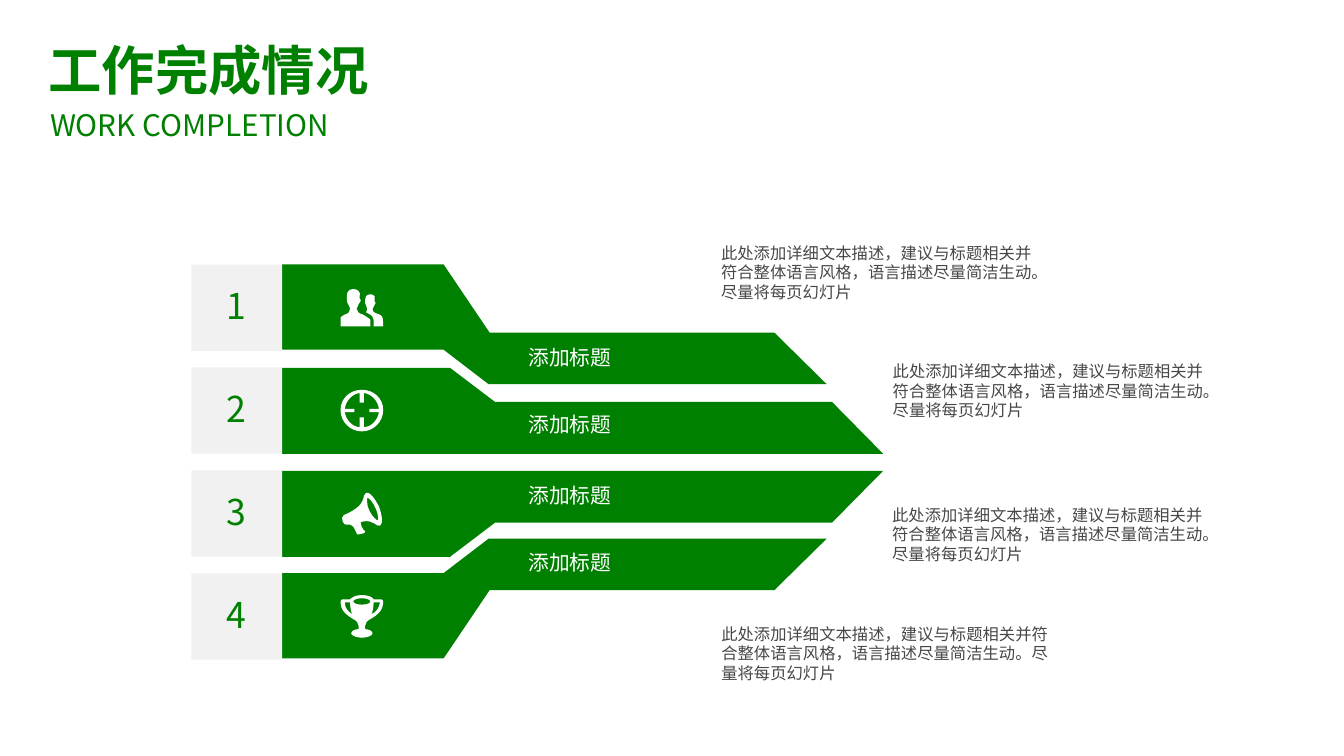
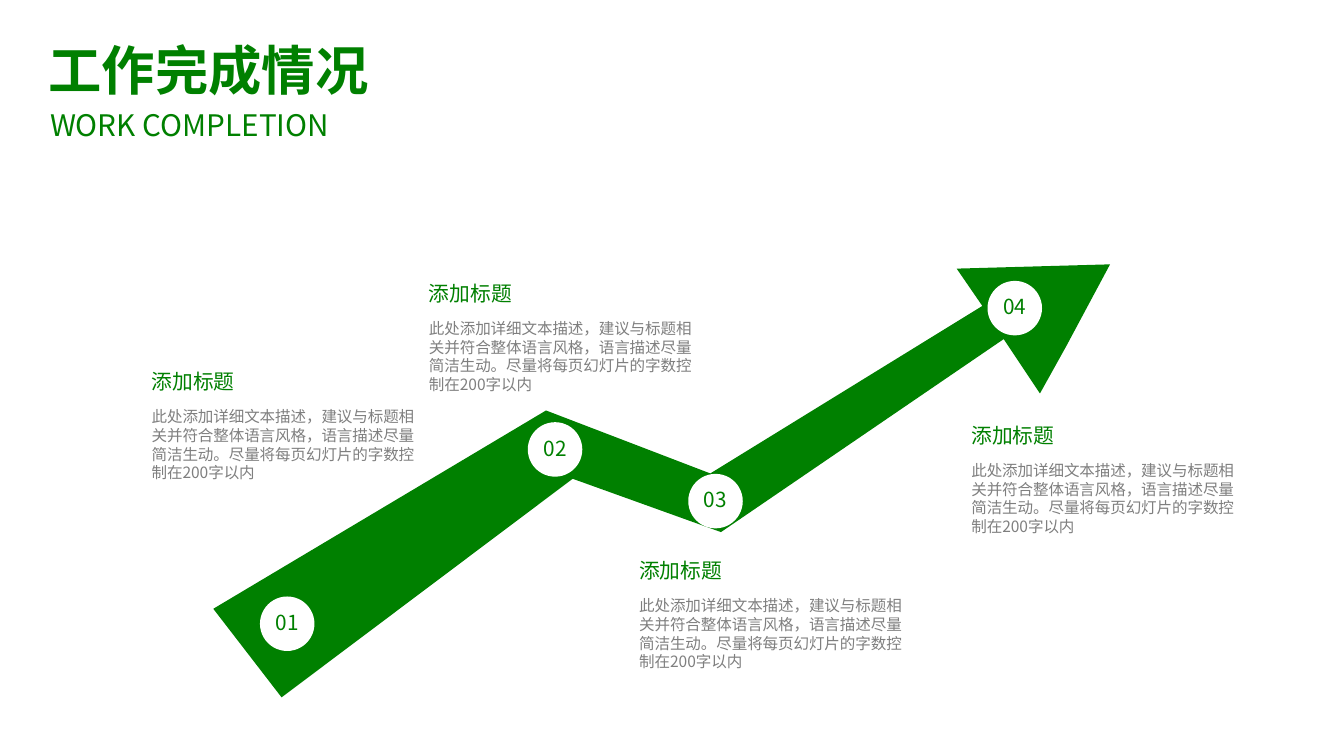
"""Build two work-completion slides: four merging bands and a rising arrow."""
from dataclasses import dataclass

from lxml import etree
from pptx import Presentation
from pptx.dml.color import RGBColor as RGB
from pptx.enum.shapes import MSO_SHAPE as SHAPE
from pptx.enum.text import MSO_ANCHOR as ANCHOR, MSO_AUTO_SIZE as FIT, PP_ALIGN as ALIGN
from pptx.oxml.ns import qn
from pptx.util import Pt


@dataclass(frozen=True)
class Theme:
    """Colours, font and text styles shared by the slides."""
    font: str = "Noto Sans CJK SC"
    green: str = "008000"
    grey: str = "F1F1F1"
    white: str = "FFFFFF"
    dark: str = "474747"
    mid: str = "7F7F7F"

    def style(self, name):
        """Return size, colour, bold and line spacing of a text role."""
        return {
            "title": (36, self.green, True, None),
            "subtitle": (20, self.green, False, None),
            "number": (24, self.green, False, 0.9),
            "label": (14, self.white, False, None),
            "detail": (11, self.dark, False, None),
            "head": (14, self.green, False, 0.9),
            "body": (10.5, self.mid, False, None),
        }[name]


T = Theme()
WIDTH, HEIGHT = 907.2, 510.48
TITLE, SUBTITLE = "工作完成情况", "WORK COMPLETION"
LABEL = "添加标题"
DETAIL = "此处添加详细文本描述，建议与标题相关并符合整体语言风格，语言描述尽量简洁生动。尽量将每页幻灯片"
BODY = DETAIL + "的字数控制在200字以内"

PEOPLE = [
    [(21, 24), (17, 23, 15, 21, 15, 18), (15, 17, 17, 17, 17, 14), (17, 13, 18, 14, 19, 11),
     (19, 10, 18, 9, 18, 9), (18, 9, 18, 8, 18, 6), (19, 4, 17, 0, 12, 0), (7, 0, 6, 4, 6, 6),
     (6, 8, 6, 9, 6, 9), (6, 9, 6, 10, 6, 11), (6, 14, 7, 13, 7, 14), (8, 17, 9, 17, 9, 18),
     (9, 21, 8, 23, 4, 24), (2, 25, 0, 26, 0, 27), (0, 35), (28, 35), (28, 35, 28, 30, 28, 29),
     (28, 28, 24, 26, 21, 24)],
    [(40, 35), (40, 35, 40, 27, 39, 26), (39, 25, 37, 24, 34, 23), (31, 22, 30, 21, 30, 19),
     (30, 17, 31, 18, 32, 15), (32, 14, 32, 15, 33, 13), (33, 12, 32, 12, 32, 12),
     (32, 12, 32, 11, 32, 10), (33, 8, 32, 5, 28, 5), (24, 5, 23, 8, 23, 10),
     (23, 11, 23, 12, 23, 12), (23, 12, 23, 12, 23, 13), (23, 15, 24, 14, 24, 15),
     (24, 18, 25, 17, 25, 19), (25, 20, 25, 21, 24, 22), (30, 25, 31, 26, 31, 29), (31, 35)],
]
TARGET = [
    [(22, 35), (22, 26), (18, 26), (18, 35), (11, 35, 5, 28, 4, 21), (13, 21), (13, 18), (4, 18),
     (5, 10, 11, 4, 18, 3), (18, 12), (22, 12), (22, 3), (29, 4, 35, 10, 36, 18), (27, 18),
     (27, 21), (36, 21), (35, 28, 29, 35, 22, 35)],
    [(20, 0), (9, 0, 0, 8, 0, 19), (0, 30, 9, 39, 20, 39), (31, 39, 40, 30, 40, 19),
     (40, 8, 31, 0, 20, 0)],
]
MEGAPHONE = [
    [(35, 26), (34, 26, 30, 23, 27, 17), (24, 11, 25, 5, 25, 5), (26, 4, 30, 8, 33, 15),
     (36, 21, 35, 26, 35, 26)],
    [(36, 13), (32, 5, 27, -1, 24, 0), (19, 2, 27, 11, 3, 21), (1, 22, 1, 25, 2, 27),
     (2, 29, 5, 31, 7, 30), (8, 30, 9, 30, 9, 30), (10, 32, 12, 30, 12, 32),
     (13, 33, 14, 36, 15, 38), (15, 39, 17, 40, 17, 39), (18, 39, 21, 38, 22, 38),
     (23, 37, 23, 36, 23, 36), (22, 35, 21, 35, 21, 34), (20, 33, 19, 30, 19, 29),
     (18, 28, 19, 27, 21, 27), (31, 25, 33, 32, 37, 31), (40, 29, 39, 21, 36, 13)],
]
TROPHY = [
    [(4, 7), (9, 7), (9, 12, 10, 16, 11, 18), (8, 16, 4, 13, 4, 7)],
    [(20, 3), (26, 3, 28, 5, 28, 6), (28, 7, 26, 9, 20, 9), (14, 9, 12, 7, 12, 6),
     (12, 5, 14, 3, 20, 3)],
    [(29, 18), (30, 16, 31, 12, 31, 7), (37, 7), (36, 13, 33, 16, 29, 18)],
    [(23, 29), (23, 26, 25, 24, 29, 22), (34, 19, 40, 15, 40, 6), (40, 5, 39, 4, 38, 4), (31, 4),
     (30, 2, 26, 0, 20, 0), (14, 0, 11, 2, 9, 4), (2, 4), (1, 4, 0, 5, 0, 6),
     (0, 15, 6, 19, 11, 22), (15, 24, 17, 26, 17, 29), (17, 32), (13, 32, 10, 34, 10, 36),
     (10, 38, 15, 40, 20, 40), (25, 40, 30, 38, 30, 36), (30, 34, 27, 32, 23, 32)],
]

TILE_LEFT, TILE_TOP, TILE_W, TILE_H, PITCH = 129.2, 178.6, 61.2, 58.3, 69.5
ICON_LEFT, ICON_UNIT = 229.9, 0.72
LABEL_LEFT = 356.7
BAND_START = TILE_LEFT + TILE_W
OUTER = [(BAND_START, 178.6), (299.5, 178.6), (330.5, 224.6), (522.7, 224.6),
         (558, 259.4), (329.8, 259.4), (299.5, 236.2), (BAND_START, 236.2)]
INNER = [(BAND_START, 248.4), (303.8, 248.4), (334.1, 271.4), (561.6, 271.4),
         (596.2, 306.5), (BAND_START, 306.5)]


def mirrored(points, total):
    """Flip points vertically, so that old and new y add up to the total."""
    return [(x, total - y) for x, y in points]


BANDS = [
    (OUTER, PEOPLE, 232.6, (486.7, 164.2, 219.6, 40.3)),
    (INNER, TARGET, 277.9, (602.6, 244, 219.6, 40.3)),
    (mirrored(INNER, 624.4), MEGAPHONE, 325.8, (602.2, 341, 219.6, 40.3)),
    (mirrored(OUTER, 623.2), TROPHY, 371.5, (486.9, 421.2, 221.8, 40.3)),
]

ARROW = [(645.8, 181.4), (663.1, 206.6), (479.5, 319.7), (368.6, 277.2), (144, 411.1),
         (190.1, 470.9), (386.6, 323.3), (486.7, 359.3), (677.5, 229), (702, 265.7),
         (720, 233.3), (730.8, 213.1), (749.3, 178.5)]
DISC = 36.8
STEPS = [
    ((175.5, 402.8), (102.4, 247)),
    ((356.3, 285.1), (289.6, 187.5)),
    ((464.6, 320), (431.5, 374.7)),
    ((666.6, 189.7), (655.7, 283.3)),
]


def assign(obj, values):
    """Set attributes of an object from a dict."""
    for name, value in values.items():
        setattr(obj, name, value)


def place(sp, box):
    """Move and size a shape to a box in points."""
    assign(sp, dict(zip(("left", "top", "width", "height"), map(Pt, box))))


def write(sp, text, role, align=ALIGN.LEFT, anchor=ANCHOR.TOP, inset=(0, 0)):
    """Put one styled paragraph into a shape."""
    size, colour, bold, spacing = T.style(role)
    tf = sp.text_frame
    dx, dy = map(Pt, inset)
    assign(tf, {"auto_size": FIT.NONE, "word_wrap": True, "vertical_anchor": anchor,
                "margin_left": dx, "margin_right": dx, "margin_top": dy, "margin_bottom": dy})
    p = tf.paragraphs[0]
    assign(p, {"alignment": align, "line_spacing": spacing})
    r = p.add_run()
    r.text = text
    assign(r.font, {"size": Pt(size), "bold": bold, "name": T.font})
    r.font.color.rgb = RGB.from_string(colour)
    etree.SubElement(r.font._element, qn("a:ea"), typeface=T.font)


def add_text(s, box, text, role, **options):
    """Add a text box."""
    write(s.shapes.add_textbox(*map(Pt, box)), text, role, **options)


def paint(sp, colour):
    """Give a shape a flat fill without line or shadow."""
    sp.shadow.inherit = False
    sp.fill.solid()
    sp.fill.fore_color.rgb = RGB.from_string(colour)
    sp.line.fill.background()
    return sp


def add_preset(s, kind, box, colour):
    """Add a flat preset shape."""
    return paint(s.shapes.add_shape(kind, *map(Pt, box)), colour)


def bend(sp, parts):
    """Turn the line segments that have control points into cubic curves."""
    for line, part in zip(list(sp._element.iter(qn("a:lnTo"))), parts):
        if len(part) > 2:
            curve = etree.Element(qn("a:cubicBezTo"))
            for x, y in zip(part[::2], part[1::2]):
                etree.SubElement(curve, qn("a:pt"), x=str(x - sp.left), y=str(y - sp.top))
            line.getparent().replace(line, curve)


def add_outline(s, contours, colour, left=0, top=0, unit=1):
    """Add a freeform of closed contours made of points and cubic curves."""
    builder, parts = None, []
    for contour in contours:
        start, *rest = [tuple(Pt((left, top)[i % 2] + v * unit) for i, v in enumerate(part))
                        for part in contour]
        if builder is None:
            builder = s.shapes.build_freeform(*start)
        else:
            builder.move_to(*start)
        builder.add_line_segments([part[-2:] for part in rest], close=True)
        parts += rest
    sp = paint(builder.convert_to_shape(), colour)
    bend(sp, parts)


def add_slide(prs):
    """Add a slide with the shared title and subtitle."""
    s = prs.slides.add_slide(prs.slide_layouts[5])
    place(s.shapes.title, (24.9, 20.9, 287.3, 51.8))
    write(s.shapes.title, TITLE, "title", inset=(7.9, 4.3))
    add_text(s, (33.8, 72, 283.7, 24.5), SUBTITLE, "subtitle")
    return s


def draw_bands(s):
    """Draw the numbered bands with icons, labels and details."""
    for i, (band, icon, label_top, detail_box) in enumerate(BANDS):
        top = TILE_TOP + i * PITCH
        add_outline(s, [band], T.green)
        tile = add_preset(s, SHAPE.RECTANGLE, (TILE_LEFT, top, TILE_W, TILE_H), T.grey)
        write(tile, str(i + 1), "number", align=ALIGN.CENTER, anchor=ANCHOR.MIDDLE)
        icon_h = ICON_UNIT * max(part[-1] for contour in icon for part in contour)
        add_outline(s, icon, T.white, ICON_LEFT, top + (TILE_H - icon_h) / 2, ICON_UNIT)
        add_text(s, (LABEL_LEFT, label_top, 144.7, 17.3), LABEL, "label")
        add_text(s, detail_box, DETAIL, "detail")


def draw_arrow(s):
    """Draw the rising arrow with its four numbered steps."""
    add_outline(s, [ARROW], T.green)
    for i, (disc_at, (left, top)) in enumerate(STEPS, 1):
        disc = add_preset(s, SHAPE.OVAL, (*disc_at, DISC, DISC), T.white)
        write(disc, f"{i:02}", "head", align=ALIGN.CENTER, anchor=ANCHOR.MIDDLE)
        add_text(s, (left, top, 182.2, 23), LABEL, "head", anchor=ANCHOR.MIDDLE, inset=(0, 3.6))
        add_text(s, (left, top + 28, 187.2, 51.1), BODY, "body")


def main():
    """Build and save the slides."""
    prs = Presentation()
    assign(prs, {"slide_width": Pt(WIDTH), "slide_height": Pt(HEIGHT)})
    for draw in (draw_bands, draw_arrow):
        draw(add_slide(prs))
    prs.save("out.pptx")


if __name__ == "__main__":
    main()
